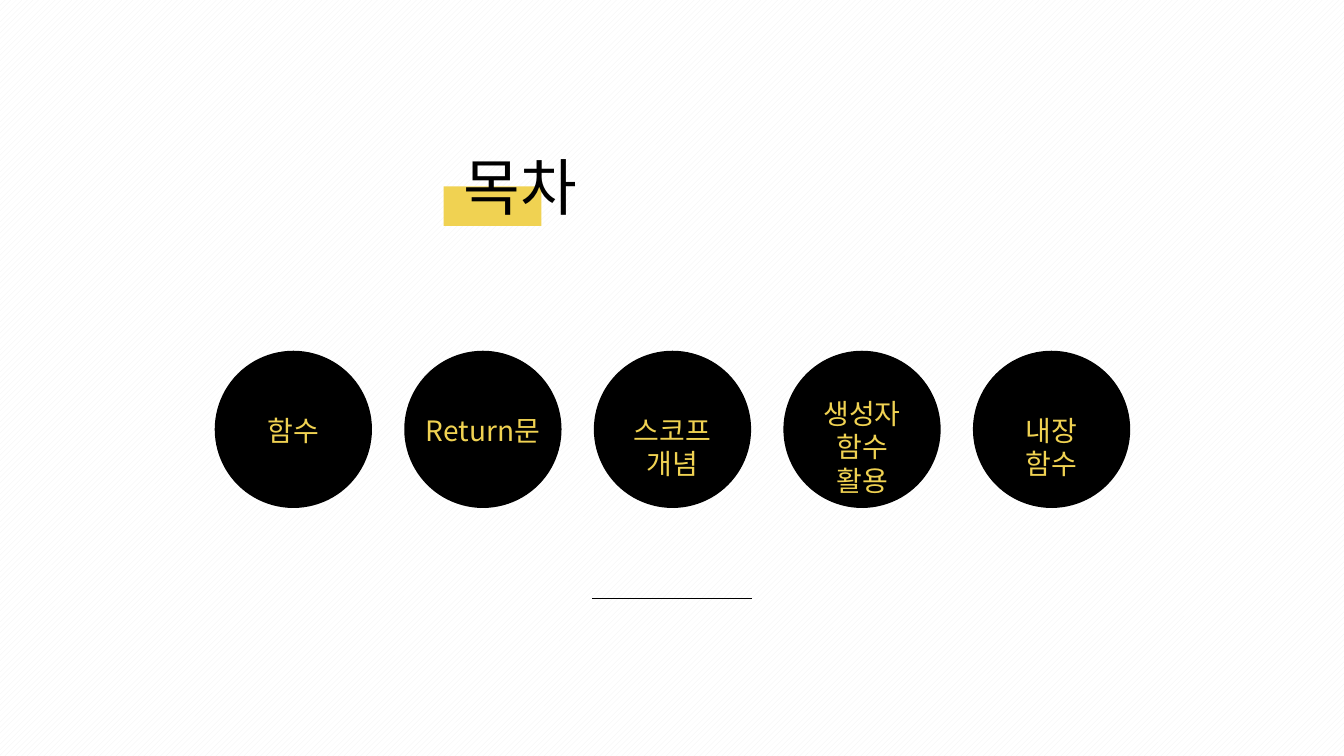
from pptx import Presentation
from pptx.dml.color import RGBColor
from pptx.enum.dml import MSO_PATTERN
from pptx.enum.shapes import MSO_CONNECTOR, MSO_SHAPE
from pptx.enum.text import MSO_AUTO_SIZE, PP_ALIGN
from pptx.oxml.ns import qn
from pptx.util import Inches, Pt
from lxml import etree

FONT = "Noto Sans CJK KR"
YELLOW = "F0D252"
BLACK = "000000"


def paint(target, color, kind=MSO_SHAPE.RECTANGLE):
    """Add a borderless shape at target (left, top, width, height)."""
    sp = s.shapes.add_shape(kind, *[Inches(v) for v in target])
    sp.shadow.inherit = False
    sp.fill.solid()
    sp.fill.fore_color.rgb = RGBColor.from_string(color)
    sp.line.fill.background()


def add_text(box, lines, size, color, inset):
    sp = s.shapes.add_textbox(*[Inches(v) for v in box])
    tf = sp.text_frame
    tf.word_wrap = True
    tf.auto_size = MSO_AUTO_SIZE.SHAPE_TO_FIT_TEXT
    tf.margin_left = tf.margin_right = Inches(inset)
    for i, line in enumerate(lines):
        p = tf.add_paragraph() if i else tf.paragraphs[0]
        p.alignment = PP_ALIGN.CENTER
        r = p.add_run()
        r.text = line
        r.font.size = Pt(size)
        r.font.name = FONT
        r.font.color.rgb = RGBColor.from_string(color)
        ea = etree.SubElement(r.font._element, qn("a:ea"))
        ea.set("typeface", FONT)


prs = Presentation()
prs.slide_width, prs.slide_height = Inches(13.33), Inches(7.5)
s = prs.slides.add_slide(prs.slide_layouts[6])

fill = s.background.fill
fill.patterned()
fill.pattern = MSO_PATTERN.WIDE_UPWARD_DIAGONAL
fill.fore_color.rgb = RGBColor.from_string("F2F2F2")
fill.back_color.rgb = RGBColor.from_string("FFFFFF")

# Title over its highlight
paint((4.4, 1.85, 0.97, 0.39), YELLOW)
add_text((2.46, 1.43, 5.41, 0.84), ["목차"], 44, BLACK, 0.1)

# Topics: lines, text top, width, height, side inset
topics = [
    (["함수"], 4.05, 0.71, 0.44, 0.05),
    (["Return문"], 4.05, 1.43, 0.44, 0.05),
    (["스코프 개념"], 4.05, 1.54, 0.44, 0.2),
    (["생성자 함수", "활용"], 3.88, 1.54, 0.77, 0.2),
    (["내장 함수"], 4.05, 1.29, 0.44, 0.2),
]
DIAMETER = 1.56
for i, (lines, top, width, height, inset) in enumerate(topics):
    left = 2.13 + 1.88 * i
    paint((left, 3.48, DIAMETER, DIAMETER), BLACK, MSO_SHAPE.OVAL)
    text_left = left + (DIAMETER - width) / 2
    add_text((text_left, top, width, height), lines, 20, YELLOW, inset)

rule = s.shapes.add_connector(MSO_CONNECTOR.STRAIGHT, Inches(5.87), Inches(5.94),
                              Inches(7.46), Inches(5.94))
rule.line.color.rgb = RGBColor.from_string(BLACK)
rule.line.width = Pt(0.5)
etree.SubElement(rule._element.spPr, qn("a:effectLst"))

prs.save("out.pptx")
